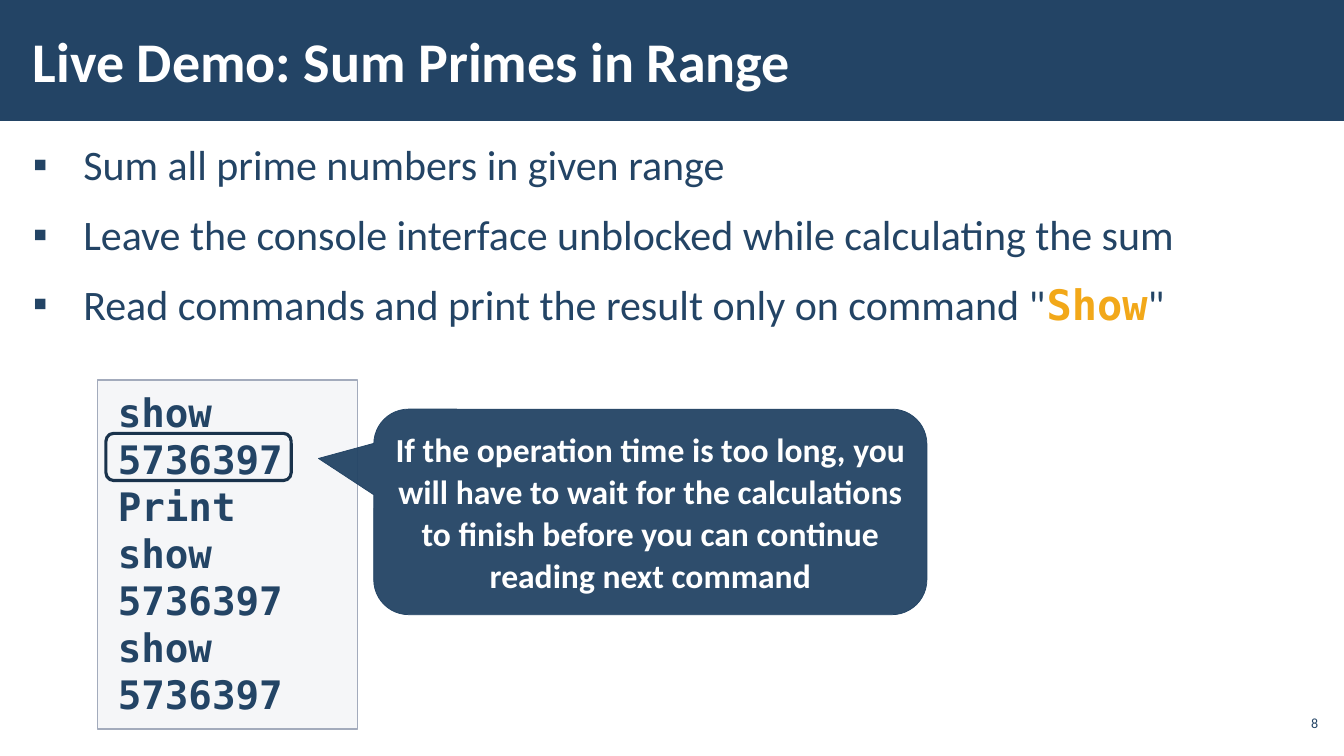
from lxml import etree
from pptx import Presentation
from pptx.dml.color import RGBColor
from pptx.enum import shapes, text
from pptx.oxml.ns import qn
from pptx.util import Cm, Pt

NAVY = RGBColor(0x23, 0x44, 0x65)
DARK_NAVY = RGBColor(0x1A, 0x33, 0x4C)
ORANGE = RGBColor(0xF2, 0xA8, 0x19)
WHITE = RGBColor(0xFF, 0xFF, 0xFF)
PANEL_FILL = RGBColor(0xC2, 0xC7, 0xD2)
PANEL_LINE = RGBColor(0xA3, 0xAB, 0xBC)
SANS, MONO = "Calibri", "DejaVu Sans Mono"

TITLE = "Live Demo: Sum Primes in Range"
PAGE_NUMBER = "8"
KEYWORD = "Show"
BULLETS = [
    ["Sum all prime numbers in given range"],
    ["Leave the console interface unblocked while calculating the sum"],
    ["Read commands and print the result only on command \"", KEYWORD, "\""],
]
CONSOLE = ["show", "5736397", "Print", "show", "5736397", "show", "5736397"]
CALLOUT = ("If the operation time is too long, you will have to wait for the "
           "calculations to finish before you can continue reading next command")

# left, top, width, height in centimetres
HEADER_BOX = (0, 0, 33.87, 3.05)
TITLE_BOX = (0.53, 0.28, 26.42, 2.46)
BODY_BOX = (0.53, 3.33, 32.82, 14.45)
NUMBER_BOX = (32.13, 17.78, 1.19, 0.86)
CONSOLE_BOX = (2.46, 9.58, 6.55, 8.79)
CALLOUT_BOX = (9.42, 10.31, 13.94, 5.18)
RESULT_BOX = (2.67, 10.92, 4.67, 1.19)

presentation = Presentation()
presentation.slide_width, presentation.slide_height = Cm(33.87), Cm(19.05)
slide = presentation.slides.add_slide(presentation.slide_layouts[6])


def set_frame(shape, across, down, anchor=text.MSO_ANCHOR.TOP):
    """Wrap the text of a shape and set its insets in centimetres."""
    frame = shape.text_frame
    frame.word_wrap = True
    frame.margin_left = frame.margin_right = Cm(across)
    frame.margin_top = frame.margin_bottom = Cm(down)
    frame.vertical_anchor = anchor
    return frame


def add_text_box(box, across, down, anchor=text.MSO_ANCHOR.TOP):
    shape = slide.shapes.add_textbox(*map(Cm, box))
    return set_frame(shape, across, down, anchor)


def add_shape(kind, box, fill=None, opacity=100, line=None, line_width=0):
    """Add a preset shape; opacity is a percentage."""
    shape = slide.shapes.add_shape(kind, *map(Cm, box))
    shape.shadow.inherit = False
    if fill is None:
        shape.fill.background()
    else:
        shape.fill.solid()
        shape.fill.fore_color.rgb = fill
        if opacity < 100:
            color = shape.fill._xPr.find(".//" + qn("a:srgbClr"))
            etree.SubElement(color, qn("a:alpha"), val=str(opacity * 1000))
    if line is None:
        shape.line.fill.background()
    else:
        shape.line.color.rgb = line
        shape.line.width = Pt(line_width)
    return shape


def style(paragraph, size, color, font=SANS, bold=False):
    for run in paragraph.runs:
        run.font.name, run.font.size = font, Pt(size)
        run.font.color.rgb, run.font.bold = color, bold


def set_indent(paragraph, margin, first_line=0.0, bullet=None):
    properties = paragraph._p.get_or_add_pPr()
    properties.set("marL", str(Cm(margin)))
    properties.set("indent", str(Cm(first_line)))
    if bullet:
        etree.SubElement(properties, qn("a:buFont"), typeface="Arial")
        etree.SubElement(properties, qn("a:buChar"), char=bullet)


# Header and title
add_shape(shapes.MSO_SHAPE.RECTANGLE, HEADER_BOX, NAVY)
frame = add_text_box(TITLE_BOX, 0.3, 0.1, text.MSO_ANCHOR.MIDDLE)
frame.text = TITLE
style(frame.paragraphs[0], 40, WHITE, bold=True)

# Bullets
frame = add_text_box(BODY_BOX, 0.3, 0.1)
frame.text = "\n".join("" for _ in BULLETS)
for paragraph, parts in zip(frame.paragraphs, BULLETS):
    for part in parts:
        paragraph.add_run().text = part
    style(paragraph, 30, NAVY)
    for run in paragraph.runs:
        if run.text == KEYWORD:
            run.font.name, run.font.bold = MONO, True
            run.font.color.rgb = ORANGE
    paragraph.line_spacing = 1.05
    paragraph.space_before = paragraph.space_after = Pt(6)
    set_indent(paragraph, 1.27, -1.27, "▪")

# Slide number
frame = add_text_box(NUMBER_BOX, 0.1, 0.1, text.MSO_ANCHOR.MIDDLE)
frame.text = PAGE_NUMBER
frame.paragraphs[0].alignment = text.PP_ALIGN.RIGHT
style(frame.paragraphs[0], 10, NAVY)

# Console
console = add_shape(shapes.MSO_SHAPE.RECTANGLE, CONSOLE_BOX,
                    PANEL_FILL, 15, PANEL_LINE, 1)
frame = set_frame(console, 0, 0.2)
frame.auto_size = text.MSO_AUTO_SIZE.SHAPE_TO_FIT_TEXT
frame.text = "\n".join(CONSOLE)
for paragraph in frame.paragraphs:
    paragraph.alignment = text.PP_ALIGN.LEFT
    set_indent(paragraph, 0.51)
    style(paragraph, 28, NAVY, MONO, bold=True)

# Callout
callout = add_shape(shapes.MSO_SHAPE.ROUNDED_RECTANGULAR_CALLOUT, CALLOUT_BOX,
                    NAVY, 95, NAVY, 0.5)
for index, value in enumerate((-0.6, -0.26, 0.17)):
    callout.adjustments[index] = value
frame = set_frame(callout, 0.25, 0.2)
frame.auto_size = text.MSO_AUTO_SIZE.SHAPE_TO_FIT_TEXT
frame.text = CALLOUT
frame.paragraphs[0].alignment = text.PP_ALIGN.CENTER
frame.paragraphs[0].line_spacing = Pt(30)
style(frame.paragraphs[0], 24, WHITE, bold=True)

# Frame around the first result
add_shape(shapes.MSO_SHAPE.ROUNDED_RECTANGLE, RESULT_BOX,
          line=DARK_NAVY, line_width=2.25)

presentation.save("out.pptx")
